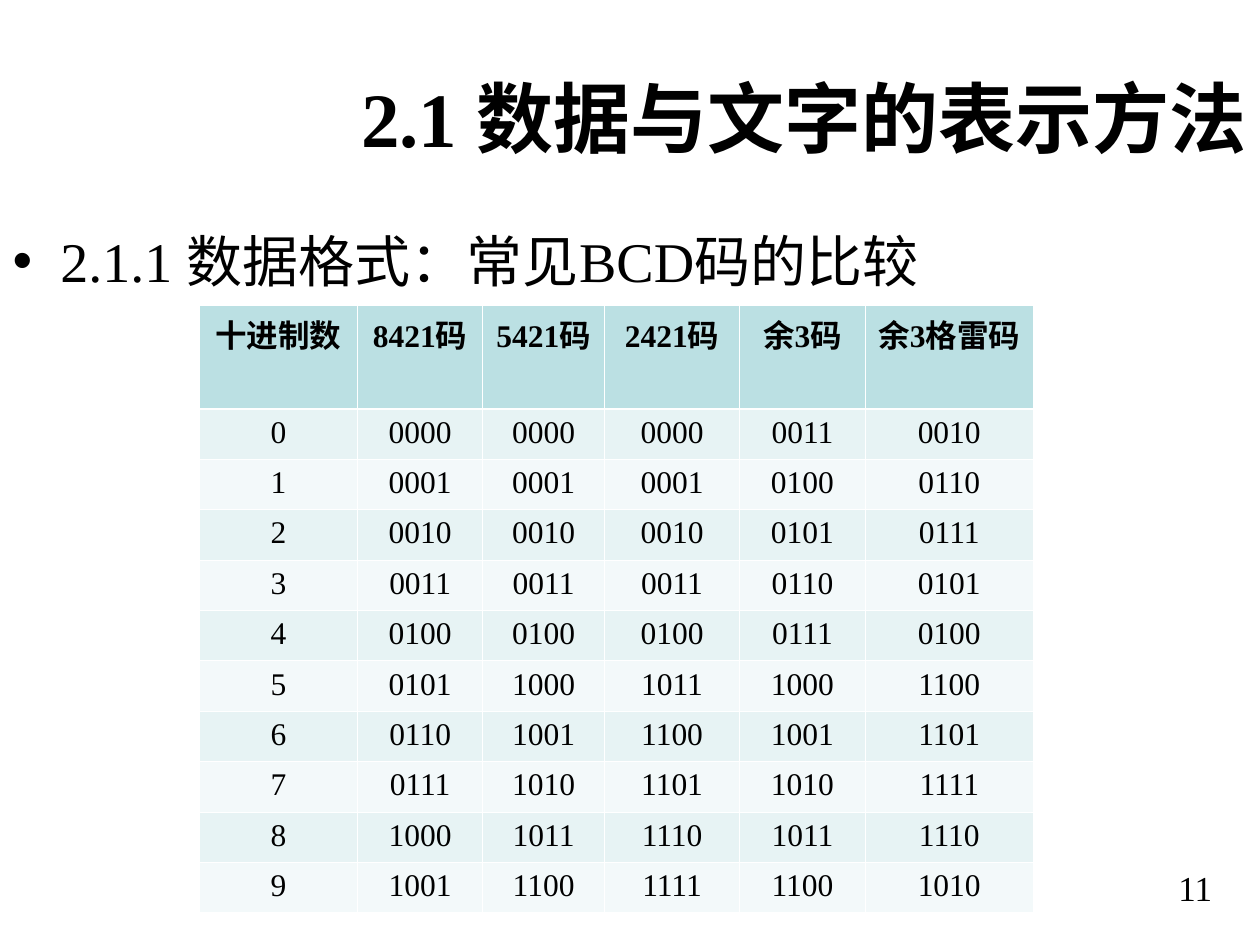
from dataclasses import dataclass

from lxml import etree
from pptx import Presentation
from pptx.dml.color import RGBColor
from pptx.enum.text import MSO_ANCHOR, MSO_AUTO_SIZE, PP_ALIGN
from pptx.oxml.ns import qn
from pptx.util import Inches, Pt

LEFT, CENTER, RIGHT = PP_ALIGN.LEFT, PP_ALIGN.CENTER, PP_ALIGN.RIGHT
JUSTIFY = PP_ALIGN.JUSTIFY
MIDDLE, TOP = MSO_ANCHOR.MIDDLE, MSO_ANCHOR.TOP
NO_AUTOFIT = MSO_AUTO_SIZE.NONE
TITLE_AND_CONTENT = 1


@dataclass(frozen=True)
class Theme:
    font: str = "Times New Roman"
    text: str = "000000"
    header_fill: str = "BBE0E3"
    band_fills: tuple = ("E7F3F4", "F3F9FA")
    border: str = "FFFFFF"
    thin_border: float = 0.45
    thick_border: float = 1.47
    title_size: int = 44
    body_size: int = 32
    number_size: int = 20
    table_size: int = 18


THEME = Theme()

HEADERS = ["十进制数", "8421码", "5421码", "2421码", "余3码", "余3格雷码"]
CODES = [
    ["0000", "0000", "0000", "0011", "0010"],
    ["0001", "0001", "0001", "0100", "0110"],
    ["0010", "0010", "0010", "0101", "0111"],
    ["0011", "0011", "0011", "0110", "0101"],
    ["0100", "0100", "0100", "0111", "0100"],
    ["0101", "1000", "1011", "1000", "1100"],
    ["0110", "1001", "1100", "1001", "1101"],
    ["0111", "1010", "1101", "1010", "1111"],
    ["1000", "1011", "1110", "1011", "1110"],
    ["1001", "1100", "1111", "1100", "1010"],
]
COLUMN_WIDTHS = [1.26, 0.99, 0.97, 1.07, 1, 1.33]
HEADER_HEIGHT, ROW_HEIGHT = 0.7, 0.4


def place(shape, left, top, width, height):
    shape.left, shape.top = Inches(left), Inches(top)
    shape.width, shape.height = Inches(width), Inches(height)


def write(text_frame, text, size, alignment, bold=False):
    """Fill the first paragraph with one formatted run."""
    paragraph = text_frame.paragraphs[0]
    paragraph.alignment = alignment
    run = paragraph.add_run()
    run.text = text
    run.font.name = THEME.font
    run.font.size = Pt(size)
    run.font.bold = bold
    run.font.color.rgb = RGBColor.from_string(THEME.text)
    return paragraph


def prepare_frame(shape, anchor):
    text_frame = shape.text_frame
    text_frame.word_wrap = True
    text_frame.auto_size = NO_AUTOFIT
    text_frame.vertical_anchor = anchor
    return text_frame


def add_bullet(paragraph, indent):
    properties = paragraph._p.get_or_add_pPr()
    properties.set("marL", str(Inches(indent)))
    properties.set("indent", str(-Inches(indent)))
    color = etree.SubElement(properties, qn("a:buClr"))
    etree.SubElement(color, qn("a:srgbClr"), val=THEME.text)
    etree.SubElement(properties, qn("a:buChar"), char="•")


def set_borders(cell, top, bottom):
    properties = cell._tc.get_or_add_tcPr()
    widths = {"lnL": THEME.thin_border, "lnR": THEME.thin_border, "lnT": top, "lnB": bottom}
    for side, width in widths.items():
        line = etree.SubElement(properties, qn(f"a:{side}"), w=str(Pt(width)))
        fill = etree.SubElement(line, qn("a:solidFill"))
        etree.SubElement(fill, qn("a:srgbClr"), val=THEME.border)


def format_cell(cell, text, row_index):
    is_header = row_index == 0
    top = THEME.thick_border if row_index == 1 else THEME.thin_border
    bottom = THEME.thick_border if is_header else THEME.thin_border
    set_borders(cell, top, bottom)
    color = THEME.header_fill if is_header else THEME.band_fills[(row_index - 1) % 2]
    cell.fill.solid()
    cell.fill.fore_color.rgb = RGBColor.from_string(color)
    write(cell.text_frame, text, THEME.table_size, CENTER, bold=is_header)


def add_title(slide):
    title = slide.shapes.title
    place(title, 0, 0.3, 10, 1.25)
    write(prepare_frame(title, MIDDLE), "2.1 数据与文字的表示方法", THEME.title_size, RIGHT, bold=True)


def add_body(slide):
    body = slide.placeholders[1]
    place(body, 0, 1.75, 10, 4.95)
    paragraph = write(
        prepare_frame(body, TOP), "2.1.1 数据格式：常见BCD码的比较", THEME.body_size, JUSTIFY
    )
    paragraph.space_before = Pt(0)
    add_bullet(paragraph, 0.38)


def add_page_number(slide):
    box = slide.shapes.add_textbox(Inches(7.39), Inches(6.83), Inches(2.33), Inches(0.52))
    write(prepare_frame(box, TOP), "11", THEME.number_size, RIGHT)


def add_code_table(slide):
    rows = [HEADERS] + [[str(digit), *codes] for digit, codes in enumerate(CODES)]
    heights = [HEADER_HEIGHT] + [ROW_HEIGHT] * len(CODES)
    frame = slide.shapes.add_table(
        len(rows), len(HEADERS), Inches(1.58), Inches(2.42),
        Inches(sum(COLUMN_WIDTHS)), Inches(sum(heights)),
    )
    table = frame.table
    for column, width in zip(table.columns, COLUMN_WIDTHS):
        column.width = Inches(width)
    for row_index, (row, height, texts) in enumerate(zip(table.rows, heights, rows)):
        row.height = Inches(height)
        for cell, text in zip(row.cells, texts):
            format_cell(cell, text, row_index)


def main():
    presentation = Presentation()
    presentation.slide_width, presentation.slide_height = Inches(10), Inches(7.5)
    slide = presentation.slides.add_slide(presentation.slide_layouts[TITLE_AND_CONTENT])
    add_title(slide)
    add_body(slide)
    add_page_number(slide)
    add_code_table(slide)
    presentation.save("out.pptx")


if __name__ == "__main__":
    main()
